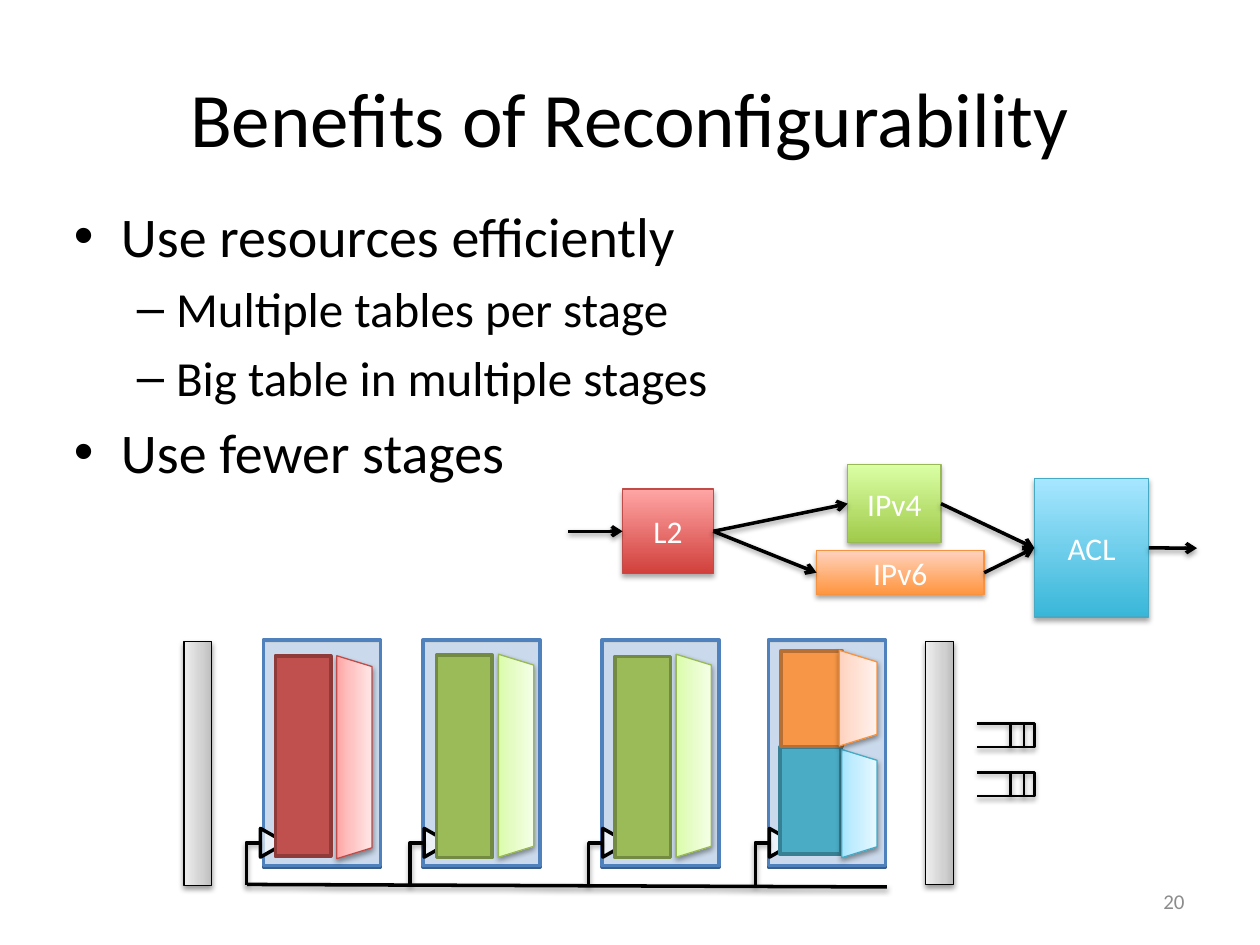
from dataclasses import dataclass

from lxml import etree
from pptx import Presentation
from pptx.dml.color import RGBColor
from pptx.enum.shapes import MSO_CONNECTOR, MSO_SHAPE
from pptx.enum.text import MSO_ANCHOR, PP_ALIGN
from pptx.oxml.ns import qn
from pptx.util import Cm, Pt

RECTANGLE, TRAPEZOID, TRIANGLE = MSO_SHAPE.RECTANGLE, MSO_SHAPE.TRAPEZOID, MSO_SHAPE.ISOSCELES_TRIANGLE
STRAIGHT, ELBOW = MSO_CONNECTOR.STRAIGHT, MSO_CONNECTOR.ELBOW
LEFT, CENTER, RIGHT = PP_ALIGN.LEFT, PP_ALIGN.CENTER, PP_ALIGN.RIGHT
TOP, MIDDLE = MSO_ANCHOR.TOP, MSO_ANCHOR.MIDDLE
LEFT_SIDE, RIGHT_SIDE = 1, 3

FONT = "Calibri"
COLORS = {
    "black": "000000", "white": "FFFFFF", "number": "8C8C8C",
    "stage": "4F81BD", "stage line": "3A5F8C",
    "red": "C0504D", "red line": "8E3B39", "red edge": "BF4C48",
    "green": "9BBB59", "green line": "738A42", "green edge": "98B955",
    "orange": "F79646", "orange line": "B76F34", "orange edge": "F69240",
    "teal": "4BACC6", "teal line": "377F92", "teal edge": "46AAC5",
}
# Gradients run from the bottom of a shape to its top.
TABLE_GRADIENTS = {
    "red": {0: "D1403C", 100: "FFA6A5"}, "green": {0: "A0CA4A", 100: "DAFFA5"},
    "orange": {0: "FF953E", 100: "FFD2BD"}, "teal": {0: "39B7D8", 100: "A7E6FF"},
}
ACTION_GRADIENTS = {
    "red": {0: "FFA6A5", 35: "FFC0BF", 100: "FFE7E7"},
    "green": {0: "DAFDA7", 35: "E4FCC2", 100: "F5FFE7"},
    "orange": {0: "FFD2BD", 35: "FFDED0", 100: "FFF2ED"},
    "teal": {0: "A7E6FF", 35: "C1EDFF", 100: "E7F8FF"},
}
BAR_GRADIENT = {0: "BDBDBD", 35: "D1D1D1", 100: "EEEEEE"}


@dataclass(frozen=True)
class Box:
    """Visible frame in centimetres."""
    left: float
    top: float
    width: float
    height: float


@dataclass(frozen=True)
class Table:
    name: str
    color: str
    box: Box


@dataclass(frozen=True)
class Stage:
    left: float
    parser_left: float


@dataclass(frozen=True)
class Unit:
    color: str
    memory: Box
    action: Box


TABLES = [
    Table("L2", "red", Box(12.55, 9.86, 1.83, 1.7)),
    Table("IPv4", "green", Box(17.09, 9.37, 1.88, 1.57)),
    Table("IPv6", "orange", Box(16.46, 11.1, 3.38, 0.89)),
    Table("ACL", "teal", Box(20.85, 9.65, 2.31, 2.79)),
]
FLOWS = [("L2", "IPv4"), ("L2", "IPv6"), ("IPv4", "ACL"), ("IPv6", "ACL")]
STAGES = [Stage(5.31, 5.25), Stage(8.53, 8.55), Stage(12.14, 12.15), Stage(15.49, 15.51)]
UNITS = [
    Unit("red", Box(5.55, 13.22, 1.12, 4.04), Box(6.79, 13.22, 0.71, 4.09)),
    Unit("green", Box(8.8, 13.2, 1.12, 4.09), Box(10.05, 13.19, 0.71, 4.09)),
    Unit("green", Box(12.4, 13.23, 1.12, 4.06), Box(13.63, 13.19, 0.71, 4.09)),
    Unit("teal", Box(15.72, 15.06, 1.24, 2.16), Box(16.97, 15.11, 0.71, 2.18)),
    Unit("orange", Box(15.74, 13.12, 1.24, 1.93), Box(16.92, 13.11, 0.76, 1.93)),
]
BARS = [Box(18.66, 12.93, 0.56, 4.9), Box(3.71, 12.93, 0.56, 4.92)]
QUEUE_LEFT, QUEUE_RIGHT, QUEUE_HEIGHT = 19.69, 20.85, 0.48
QUEUE_TOPS, QUEUE_DIVIDERS = (14.58, 15.57), (20.37, 20.64)
WIRE_TOP, BUS_TOP, WIRE_WIDTH = 16.99, 17.85, 0.28


def color(name: str) -> RGBColor:
    return RGBColor.from_string(COLORS[name])


def add_shadow(shape, opacity=38, distance=1.6) -> None:
    properties = shape._element.spPr
    effects = properties.find(qn("a:effectLst"))
    if effects is None:
        effects = etree.SubElement(properties, qn("a:effectLst"))
    shadow = etree.SubElement(effects, qn("a:outerShdw"), blurRad=str(Pt(3.1)),
                              dist=str(Pt(distance)), dir="5400000", rotWithShape="0")
    black = etree.SubElement(shadow, qn("a:srgbClr"), val=COLORS["black"])
    etree.SubElement(black, qn("a:alpha"), val=str(opacity * 1000))


def set_gradient(shape, stops: dict) -> None:
    shape.fill.background()
    properties = shape._element.spPr
    gradient = etree.Element(qn("a:gradFill"), rotWithShape="1")
    stop_list = etree.SubElement(gradient, qn("a:gsLst"))
    for position, value in stops.items():
        stop = etree.SubElement(stop_list, qn("a:gs"), pos=str(position * 1000))
        etree.SubElement(stop, qn("a:srgbClr"), val=value)
    etree.SubElement(gradient, qn("a:lin"), ang="16200000", scaled="0")
    properties.replace(properties.find(qn("a:noFill")), gradient)


def add_shape(slide, kind, box: Box, fill, line: str, line_width=2.0, rotation=0, opacity=100):
    """Fill is a colour name or gradient stops; a turned shape still fills the visible box."""
    width, height = (box.height, box.width) if rotation else (box.width, box.height)
    left = box.left + (box.width - width) / 2
    top = box.top + (box.height - height) / 2
    shape = slide.shapes.add_shape(kind, Cm(left), Cm(top), Cm(width), Cm(height))
    shape.rotation = rotation
    shape.shadow.inherit = False
    if isinstance(fill, dict):
        set_gradient(shape, fill)
    else:
        shape.fill.solid()
        shape.fill.fore_color.rgb = color(fill)
        if opacity < 100:
            solid = shape._element.spPr.find(qn("a:solidFill"))
            etree.SubElement(solid[0], qn("a:alpha"), val=str(opacity * 1000))
    shape.line.color.rgb = color(line)
    shape.line.width = Pt(line_width)
    return shape


def add_line(slide, start, end, kind=STRAIGHT, width=2.0, arrow=False):
    connector = slide.shapes.add_connector(kind, *(Cm(value) for value in (*start, *end)))
    connector.line.color.rgb = color("black")
    connector.line.width = Pt(width)
    if arrow:
        etree.SubElement(connector.line._get_or_add_ln(), qn("a:tailEnd"), type="arrow")
    if kind == ELBOW:
        connector._element.spPr.find(qn("a:prstGeom")).set("prst", "bentConnector2")
    add_shadow(connector)
    return connector


def write_text(frame, text: str, size=18, font_color="black", align=CENTER, anchor=MIDDLE,
               bullet="", level=0, indent=(0, 0), space_before=0, first=True) -> None:
    """Write one paragraph; indent holds the left margin and the hanging width in cm."""
    frame.word_wrap = True
    frame.vertical_anchor = anchor
    paragraph = frame.paragraphs[0] if first else frame.add_paragraph()
    paragraph.alignment = align
    paragraph.level = level
    if not first:
        paragraph.space_before = Pt(space_before)
    if bullet:
        properties = paragraph._p.get_or_add_pPr()
        properties.set("marL", str(Cm(indent[0])))
        properties.set("indent", str(-Cm(indent[1])))
        etree.SubElement(properties, qn("a:buFont"), typeface="Arial")
        etree.SubElement(properties, qn("a:buChar"), char=bullet)
    run = paragraph.add_run()
    run.text = text
    run.font.name = FONT
    run.font.size = Pt(size)
    run.font.color.rgb = color(font_color)


def add_text_frame(slide, box: Box):
    lengths = (Cm(value) for value in (box.left, box.top, box.width, box.height))
    return slide.shapes.add_textbox(*lengths).text_frame


def draw_texts(slide) -> None:
    write_text(add_text_frame(slide, Box(1.27, 0.76, 22.86, 3.18)), "Benefits of Reconfigurability", size=44)
    body = add_text_frame(slide, Box(1.24, 3.94, 22.86, 8.05))
    items = [("Use resources efficiently", 0), ("Multiple tables per stage", 1),
             ("Big table in multiple stages", 1), ("Use fewer stages", 0)]
    for index, (text, level) in enumerate(items):
        size = (32, 28)[level]
        write_text(body, text, size=size, align=LEFT, anchor=TOP, bullet="•–"[level], level=level,
                   indent=((0.95, 0.95), (2.06, 0.79))[level], space_before=size / 5, first=index == 0)
    write_text(add_text_frame(slide, Box(18.21, 17.65, 5.92, 1.02)), "20", size=12,
               font_color="number", align=RIGHT)


def draw_table_flow(slide) -> None:
    nodes = {}
    for table in TABLES:
        shape = add_shape(slide, RECTANGLE, table.box, TABLE_GRADIENTS[table.color], f"{table.color} edge", 0.75)
        add_shadow(shape, opacity=35, distance=1.8)
        write_text(shape.text_frame, table.name, font_color="white")
        nodes[table.name] = shape
    for source, target in FLOWS:
        connector = add_line(slide, (0, 0), (1, 1), arrow=True)
        connector.begin_connect(nodes[source], RIGHT_SIDE)
        connector.end_connect(nodes[target], LEFT_SIDE)
    add_line(slide, (11.46, 10.71), (12.55, 10.71), arrow=True).end_connect(nodes["L2"], LEFT_SIDE)
    add_line(slide, (23.16, 11.05), (24.13, 11.05), arrow=True).begin_connect(nodes["ACL"], RIGHT_SIDE)


def draw_queue(slide, top: float) -> None:
    bottom = top + QUEUE_HEIGHT
    builder = slide.shapes.build_freeform(Cm(QUEUE_LEFT), Cm(top))
    corners = [(QUEUE_RIGHT, top), (QUEUE_RIGHT, bottom), (QUEUE_LEFT, bottom)]
    builder.add_line_segments([(Cm(x), Cm(y)) for x, y in corners], close=False)
    outline = builder.convert_to_shape()
    outline.shadow.inherit = False
    outline.fill.background()
    outline.line.color.rgb = color("black")
    outline.line.width = Pt(1.5)
    add_shadow(outline)
    for x in QUEUE_DIVIDERS:
        add_line(slide, (x, top), (x, bottom), width=1.5)


def draw_pipeline(slide) -> None:
    for stage in STAGES:
        add_shape(slide, RECTANGLE, Box(stage.left, 12.93, 2.36, 4.55), "stage", "stage line")
        add_shape(slide, RECTANGLE, Box(stage.left, 12.9, 2.36, 4.55), "white", "stage", opacity=70)
    for bar in BARS:
        add_shadow(add_shape(slide, RECTANGLE, bar, BAR_GRADIENT, "black", 0.75, rotation=270))
    for top in QUEUE_TOPS:
        draw_queue(slide, top)
    for stage in STAGES:
        parser = Box(stage.parser_left, 16.7, 0.51, 0.58)
        add_shape(slide, TRIANGLE, parser, "white", "black", rotation=90, opacity=66)
        add_line(slide, (stage.parser_left, WIRE_TOP), (stage.parser_left - WIRE_WIDTH, BUS_TOP), ELBOW)
    add_line(slide, (4.98, 17.83), (17.88, 17.88))
    for unit in UNITS:
        add_shape(slide, RECTANGLE, unit.memory, unit.color, f"{unit.color} line", rotation=270)
    for unit in UNITS:
        action = add_shape(slide, TRAPEZOID, unit.action, ACTION_GRADIENTS[unit.color],
                           f"{unit.color} edge", 0.75, rotation=90)
        action.adjustments[0] = 0.308
        add_shadow(action)


def main() -> None:
    presentation = Presentation()
    presentation.slide_width, presentation.slide_height = Cm(25.4), Cm(19.05)
    slide = presentation.slides.add_slide(presentation.slide_layouts[6])
    draw_texts(slide)
    draw_table_flow(slide)
    draw_pipeline(slide)
    presentation.save("out.pptx")


if __name__ == "__main__":
    main()
